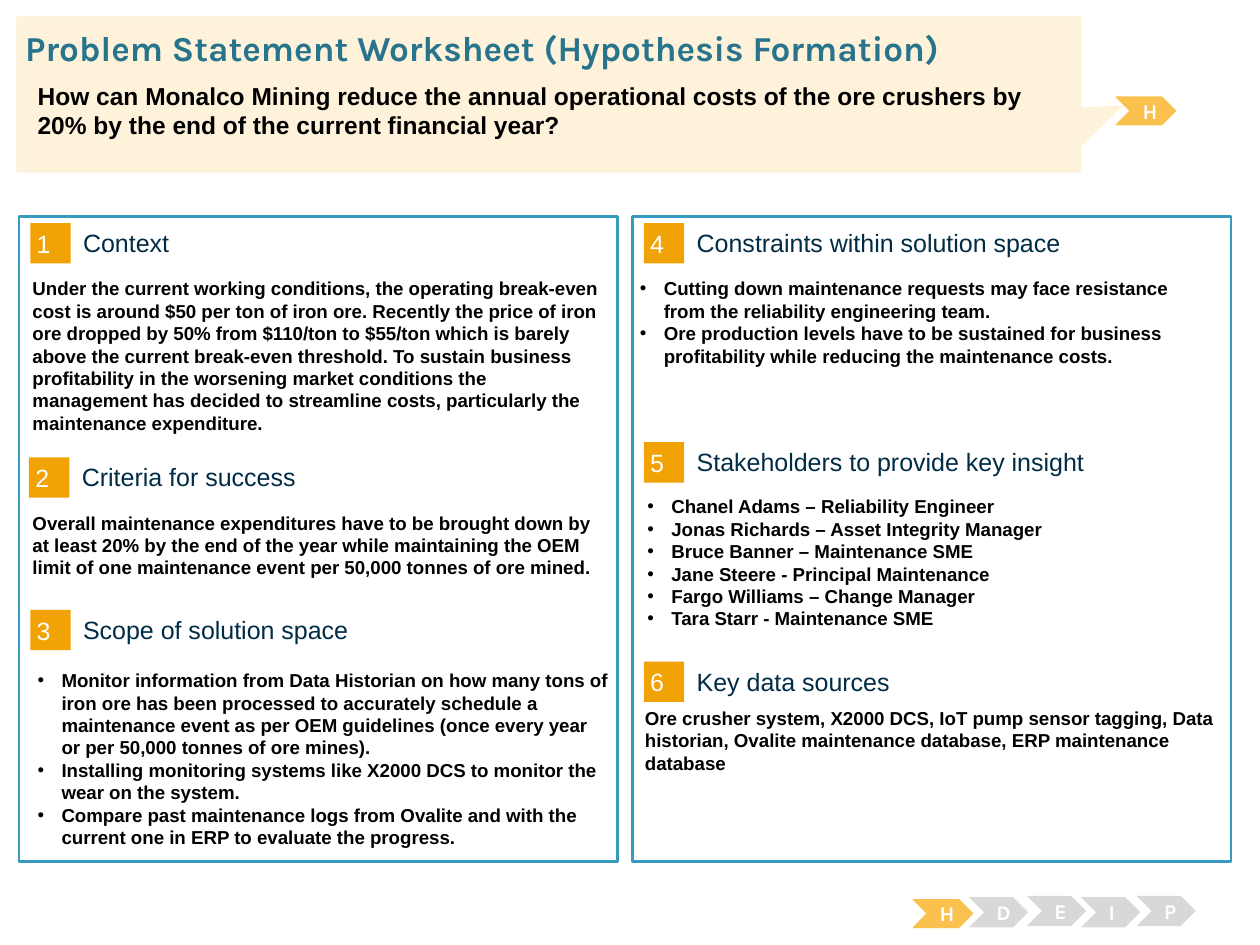
from dataclasses import dataclass

from lxml import etree
from pptx import Presentation
from pptx import util as u
from pptx.dml.color import RGBColor
from pptx.enum import shapes, text

Inches, Pt = u.Inches, u.Pt
Kind, Align, Anchor = shapes.MSO_SHAPE, text.PP_ALIGN, text.MSO_ANCHOR


@dataclass(frozen=True)
class Theme:
    plain: str = "Arial"
    brand: str = "Karla"
    white: str = "FFFFFF"
    black: str = "000000"
    navy: str = "002C46"
    teal: str = "29748D"
    edge: str = "379BBD"
    orange: str = "F1A205"
    gold: str = "FBC14E"
    cream: str = "FEF2DA"
    grey: str = "D8D8D8"
    title: float = 20
    ask: float = 14
    head: float = 14.3
    step: float = 12
    body: float = 10.7


class Sheet:
    def __init__(self, slide, theme):
        self.slide, self.theme = slide, theme

    def words(self, frame, lines, size, color, font=None, bold=False,
              align=Align.LEFT, anchor=Anchor.TOP, pad=(0.1, 0.05)):
        """Fill a text frame, one paragraph a line, in one style."""
        frame.word_wrap = True
        frame.auto_size = text.MSO_AUTO_SIZE.NONE
        frame.vertical_anchor = anchor
        frame.margin_left = frame.margin_right = Inches(pad[0])
        frame.margin_top = frame.margin_bottom = Inches(pad[1])
        frame.text = "\n".join(lines)
        for para in frame.paragraphs:
            para.alignment = align
            para.font.name = font or self.theme.plain
            para.font.size, para.font.bold = Pt(size), bold
            para.font.color.rgb = RGBColor.from_string(color)

    def shape(self, kind, box, fill, line=None, width=0.75):
        item = self.slide.shapes.add_shape(kind, *map(Inches, box))
        item.shadow.inherit = False
        item.fill.solid()
        item.fill.fore_color.rgb = RGBColor.from_string(fill)
        if line:
            item.line.color.rgb = RGBColor.from_string(line)
            item.line.width = Pt(width)
        else:
            item.line.fill.background()
        return item

    def label(self, box, lines, size, color, **style):
        item = self.slide.shapes.add_textbox(*map(Inches, box))
        self.words(item.text_frame, lines, size, color, **style)
        return item

    def panel(self, left):
        self.shape(Kind.RECTANGLE, (left, 1.72, 4.75, 5.12),
                   self.theme.white, self.theme.edge, 1.5)

    def head(self, left, top, number, name):
        """Draw a numbered square with its section name."""
        t = self.theme
        badge = self.shape(Kind.RECTANGLE, (left, top, 0.32, 0.32), t.orange)
        self.words(badge.text_frame, [str(number)], t.head, t.white,
                   anchor=Anchor.MIDDLE, pad=(0.05, 0.05))
        self.label((left + 0.42, top + 0.03, 3.93, 0.25), [name], t.head,
                   t.navy, anchor=Anchor.MIDDLE, pad=(0, 0))

    def body(self, left, top, high, lines, dots=False):
        """Add bold section text, with bullets if dots is set."""
        t = self.theme
        item = self.label((left, top, 4.73, high), lines, t.body, t.black,
                          bold=True)
        if dots:
            for para in item.text_frame.paragraphs:
                self.dot(para)

    def dot(self, para):
        props = para._p.get_or_add_pPr()
        props.set("marL", str(Inches(0.19)))
        props.set("indent", str(-Inches(0.19)))
        space = props.nsmap["a"]
        font = etree.Element(f"{{{space}}}buFont", typeface=self.theme.plain)
        mark = etree.Element(f"{{{space}}}buChar", char="•")
        props.insert(0, font)
        font.addnext(mark)

    def step(self, left, top, letter, live=False):
        t = self.theme
        fill = t.gold if live else t.grey
        high = 0.22 if live else 0.24
        item = self.shape(Kind.CHEVRON, (left, top, 0.47, high), fill,
                          t.gold if live else None)
        self.words(item.text_frame, [letter], t.step, t.white, font=t.brand,
                   bold=True, align=Align.CENTER, anchor=Anchor.MIDDLE)

    def banner(self, title, ask):
        t = self.theme
        call = self.shape(Kind.RECTANGULAR_CALLOUT, (0.13, 0.13, 8.45, 1.24),
                          t.cream)
        call.adjustments[0], call.adjustments[1] = 0.54, 0.07
        head = self.slide.shapes.title
        head.left, head.top = Inches(0.2), Inches(0.21)
        head.width, head.height = Inches(9.62), Inches(0.34)
        self.words(head.text_frame, [title], t.title, t.teal, font=t.brand,
                   bold=True, pad=(0, 0))
        call.element.addnext(head.element)  # title sits above the callout
        self.label((0.2, 0.59, 8.42, 0.54), [ask], t.ask, t.black, bold=True)


# head: left, top, name; body: left, top, height, lines, bullets
SECTIONS = [
    ((0.24, 1.77, "Context"), (0.16, 2.15, 1.36, [
        "Under the current working conditions, the operating break-even cost "
        "is around $50 per ton of iron ore. Recently the price of iron ore "
        "dropped by 50% from $110/ton to $55/ton which is barely above the "
        "current break-even threshold. To sustain business profitability in "
        "the worsening market conditions the management has decided to "
        "streamline costs, particularly the maintenance expenditure."])),
    ((0.23, 3.63, "Criteria for success"), (0.16, 4.01, 0.75, [
        "Overall maintenance expenditures have to be brought down by at least "
        "20% by the end of the year while maintaining the OEM limit of one "
        "maintenance event per 50,000 tonnes of ore mined."])),
    ((0.24, 4.84, "Scope of solution space"), (0.2, 5.26, 1.48, [
        "Monitor information from Data Historian on how many tons of iron ore "
        "has been processed to accurately schedule a maintenance event as per "
        "OEM guidelines (once every year or per 50,000 tonnes of ore mines).",
        "Installing monitoring systems like X2000 DCS to monitor the wear on "
        "the system.",
        "Compare past maintenance logs from Ovalite and with the current one "
        "in ERP to evaluate the progress."], True)),
    ((5.11, 1.77, "Constraints within solution space"), (4.98, 2.15, 1.18, [
        "Cutting down maintenance requests may face resistance from the "
        "reliability engineering team.",
        "Ore production levels have to be sustained for business "
        "profitability while reducing the maintenance costs."], True)),
    ((5.11, 3.51, "Stakeholders to provide key insight"), (5.04, 3.88, 1.18, [
        "Chanel Adams – Reliability Engineer",
        "Jonas Richards – Asset Integrity Manager",
        "Bruce Banner – Maintenance SME",
        "Jane Steere - Principal Maintenance",
        "Fargo Williams – Change Manager",
        "Tara Starr - Maintenance SME"], True)),
    ((5.11, 5.25, "Key data sources"), (5.02, 5.56, 1.18, [
        "Ore crusher system, X2000 DCS, IoT pump sensor tagging, Data "
        "historian, Ovalite maintenance database, ERP maintenance database"])),
]
STEPS = [(7.69, 7.12, "D"), (8.15, 7.11, "E"), (8.58, 7.12, "I"),
         (9.02, 7.11, "P")]


def main():
    deck = Presentation()
    deck.slide_width, deck.slide_height = Inches(10), Inches(7.5)
    sheet = Sheet(deck.slides.add_slide(deck.slide_layouts[5]), Theme())
    for left in (0.15, 5.02):
        sheet.panel(left)
    for number, ((left, top, name), body) in enumerate(SECTIONS, 1):
        sheet.head(left, top, number, name)
        sheet.body(*body)
    sheet.step(7.25, 7.14, "H", live=True)
    for step in STEPS:
        sheet.step(*step)
    sheet.step(8.86, 0.77, "H", live=True)
    sheet.banner("Problem Statement Worksheet (Hypothesis Formation)",
                 "How can Monalco Mining reduce the annual operational costs "
                 "of the ore crushers by 20% by the end of the current "
                 "financial year?")
    deck.save("out.pptx")


if __name__ == "__main__":
    main()
